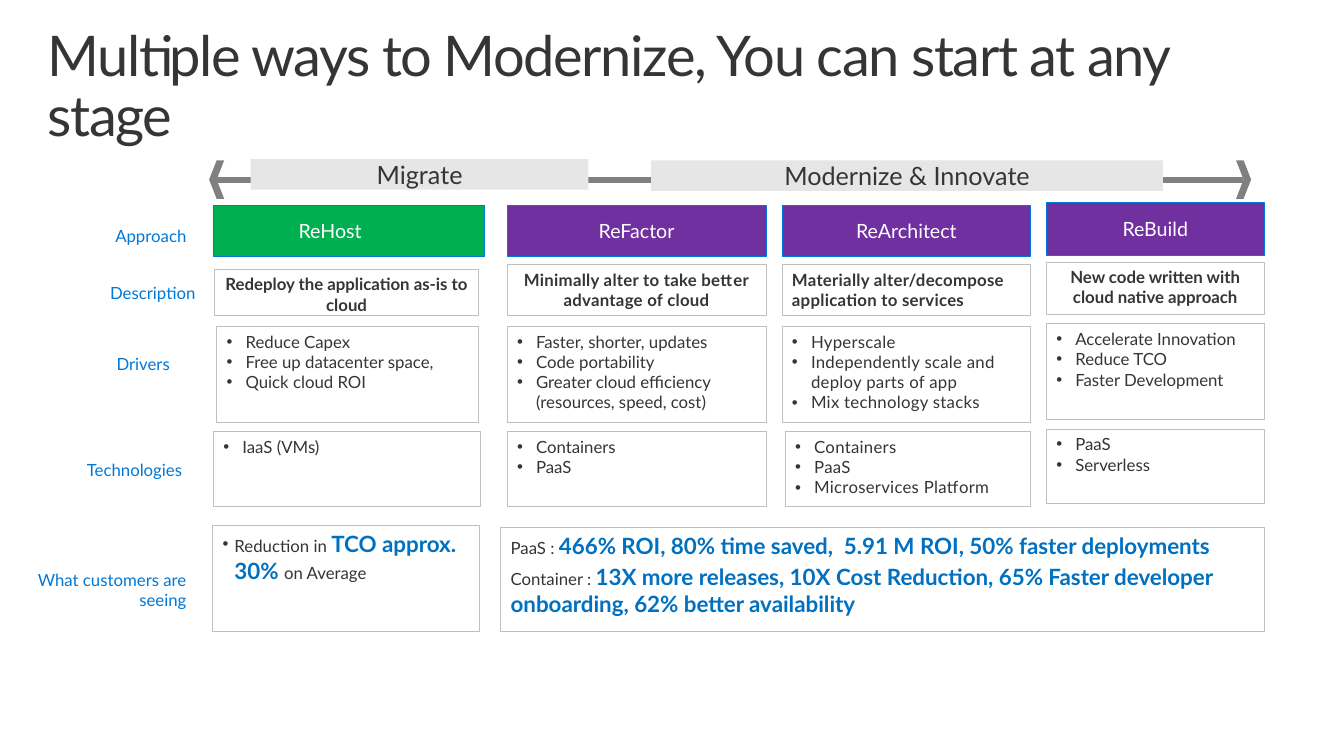
from dataclasses import dataclass
from lxml.etree import SubElement
from pptx import Presentation
from pptx.dml.color import RGBColor
from pptx.enum.shapes import MSO_CONNECTOR, MSO_SHAPE
from pptx.enum.text import MSO_ANCHOR, PP_ALIGN
from pptx.oxml.ns import qn
from pptx.util import Cm, Pt


@dataclass(frozen=True)
class Theme:
    font: str = "Lato"
    ink: str = "353535"
    label: str = "0078D7"
    strong: str = "0070C0"
    green: str = "00B050"
    purple: str = "7030A0"
    border: str = "BFBFBF"
    band: str = "E6E6E6"
    arrow: str = "808080"
    white: str = "FFFFFF"
    title: int = 40
    banner: int = 18
    stat: int = 16
    head: int = 14
    body: int = 12


T = Theme()

TITLE = "Multiple ways to Modernize, You can start at any stage"
BANNERS = [("Migrate", 6.32, 4.01, 8.51), ("Modernize & Innovate", 16.41, 4.04, 12.9)]
LABELS = [
    ("Approach", 4.7, 5.94, 0.5),
    ("Description", 4.93, 7.37, 0.5),
    ("Drivers ", 4.39, 9.17, 0.5),
    ("Technologies ", 4.7, 11.84, 0.5),
    ("What customers are seeing", 4.7, 14.86, 1.02),
]
COLUMNS = [
    (5.38, 6.73, 0, T.green, "ReHost\t", "Redeploy the application as-is to cloud",
     ["Reduce Capex", "Free up datacenter space,", "Quick cloud ROI"],
     ["IaaS (VMs)"]),
    (12.78, 6.53, 0, T.purple, "ReFactor", "Minimally alter to take better advantage of cloud",
     ["Faster, shorter, updates", "Code portability",
      "Greater cloud efficiency (resources, speed, cost)"],
     ["Containers", "PaaS"]),
    (19.71, 6.27, 0, T.purple, "ReArchitect",
     "Materially alter/decompose application to services",
     ["Hyperscale", "Independently scale and deploy parts of app", "Mix technology stacks"],
     ["Containers", "PaaS", "Microservices Platform"]),
    (26.37, 5.49, 0.07, T.purple, "ReBuild", "New code written with cloud native approach",
     ["Accelerate Innovation", "Reduce TCO", "Faster Development"],
     ["PaaS", "Serverless"]),
]
ROWS = [(5.18, 1.27), (6.67, 1.27), (8.23, 2.41), (10.88, 1.88)]
NUDGES = {
    (0, 0): (0, 0, 0.1, 0),
    (0, 1): (0.03, 0.11, -0.08, -0.1),
    (0, 2): (0.08, 0, -0.13, 0),
    (2, 3): (0.08, 0, -0.08, 0),
    (3, 0): (0, 0, 0, 0.05),
    (3, 1): (0, 0, 0, 0.05),
}
SPACED = {(1, 1), (2, 1), (2, 2), (2, 3)}
SAVINGS = [[("Reduction in ", 0), ("TCO approx. 30% ", 1), ("on Average", 0)]]
RETURNS = [
    [("PaaS : ", 0), ("466% ROI, 80% time saved,  5.91 M ROI, 50% faster deployments", 1)],
    [("Container : ", 0),
     ("13X more releases, 10X Cost Reduction, 65% Faster developer onboarding, "
      "62% better availability", 1)],
]

prs = Presentation()
prs.slide_width, prs.slide_height = Cm(33.87), Cm(19.05)
s = prs.slides.add_slide(prs.slide_layouts[6])


def write(sp, paras, size=T.body, color=T.ink, bold=False, align=PP_ALIGN.LEFT,
          anchor=MSO_ANCHOR.TOP, inset=(0.25, 0.13), hang=0, before=0, leading=None, spc=0):
    tf = sp.text_frame
    tf.word_wrap = True
    tf.vertical_anchor = anchor
    tf.margin_left = tf.margin_right = Cm(inset[0])
    tf.margin_top = tf.margin_bottom = Cm(inset[1])
    for i, para in enumerate(paras):
        p = tf.add_paragraph() if i else tf.paragraphs[0]
        p.alignment = align
        if hang:
            pPr = p._p.get_or_add_pPr()
            pPr.set("marL", str(Cm(hang)))
            pPr.set("indent", str(-Cm(hang)))
            SubElement(pPr, qn("a:buFont"), typeface="Arial")
            SubElement(pPr, qn("a:buChar"), char="•")
        if i and before:
            p.space_before = Pt(before)
        if leading:
            p.line_spacing = leading
        for text, strong in [(para, 0)] if isinstance(para, str) else para:
            r = p.add_run()
            r.text = text
            r.font.name = T.font
            r.font.size = Pt(T.stat if strong else size)
            r.font.bold = bool(strong or bold)
            r.font.color.rgb = RGBColor.from_string(T.strong if strong else color)
            if spc:
                r.font._element.set("spc", str(spc))


def shape(x, y, w, h, fill=None, line=None, kind=MSO_SHAPE.RECTANGLE):
    sp = s.shapes.add_shape(kind, Cm(x), Cm(y), Cm(w), Cm(h))
    sp.shadow.inherit = False
    if fill:
        sp.fill.solid()
        sp.fill.fore_color.rgb = RGBColor.from_string(fill)
    else:
        sp.fill.background()
    if line:
        sp.line.color.rgb = RGBColor.from_string(line)
        sp.line.width = Pt(0.5)
    else:
        sp.line.fill.background()
    return sp


def textbox(x, y, w, h, text, **fmt):
    write(s.shapes.add_textbox(Cm(x), Cm(y), Cm(w), Cm(h)), [text], **fmt)


textbox(0.79, 0.46, 32.39, 2.49, TITLE, size=T.title, inset=(0.41, 0.25), leading=0.9, spc=-100)

for text, right, middle, h in LABELS:
    textbox(right - 3.91, middle - h / 2, 3.91, h, text, color=T.label,
            align=PP_ALIGN.RIGHT, anchor=MSO_ANCHOR.MIDDLE, inset=(0, 0))

axis = s.shapes.add_connector(MSO_CONNECTOR.STRAIGHT, Cm(5.44), Cm(4.53), Cm(31.32), Cm(4.53))
axis.line.color.rgb = RGBColor.from_string(T.arrow)
axis.line.width = Pt(4.5)
SubElement(axis._element.spPr, qn("a:effectLst"))
for x, turn in [(5.27, 180), (31.15, 0)]:
    shape(x, 4.04, 0.38, 0.97, T.arrow, kind=MSO_SHAPE.CHEVRON).rotation = turn
for text, x, y, w in BANNERS:
    write(shape(x, y, w, 0.77, T.band), [text], size=T.banner,
          align=PP_ALIGN.CENTER, inset=(0, 0))

for c, (x, w, lift, fill, head, description, drivers, technologies) in enumerate(COLUMNS):
    cells = [
        ([head], dict(size=T.head, color=T.white, align=PP_ALIGN.CENTER,
                      anchor=MSO_ANCHOR.MIDDLE)),
        ([description], dict(bold=True, align=PP_ALIGN.LEFT if c == 2 else PP_ALIGN.CENTER)),
        (drivers, dict(hang=0.48)),
        (technologies, dict(hang=0.48)),
    ]
    for row, ((y, h), (paras, fmt)) in enumerate(zip(ROWS, cells)):
        dx, dy, dw, dh = NUDGES.get((c, row), (0, 0, 0, 0))
        sp = shape(x + dx, y - lift + dy, w + dw, h + dh,
                   None if row else fill, T.border if row else T.label)
        write(sp, paras, spc=20 if (c, row) in SPACED else 0, **fmt)

write(shape(5.36, 13.23, 6.73, 2.69, line=T.border), SAVINGS, hang=0.3)
write(shape(12.62, 13.28, 19.25, 2.64, line=T.border), RETURNS, before=3)

prs.save("out.pptx")
